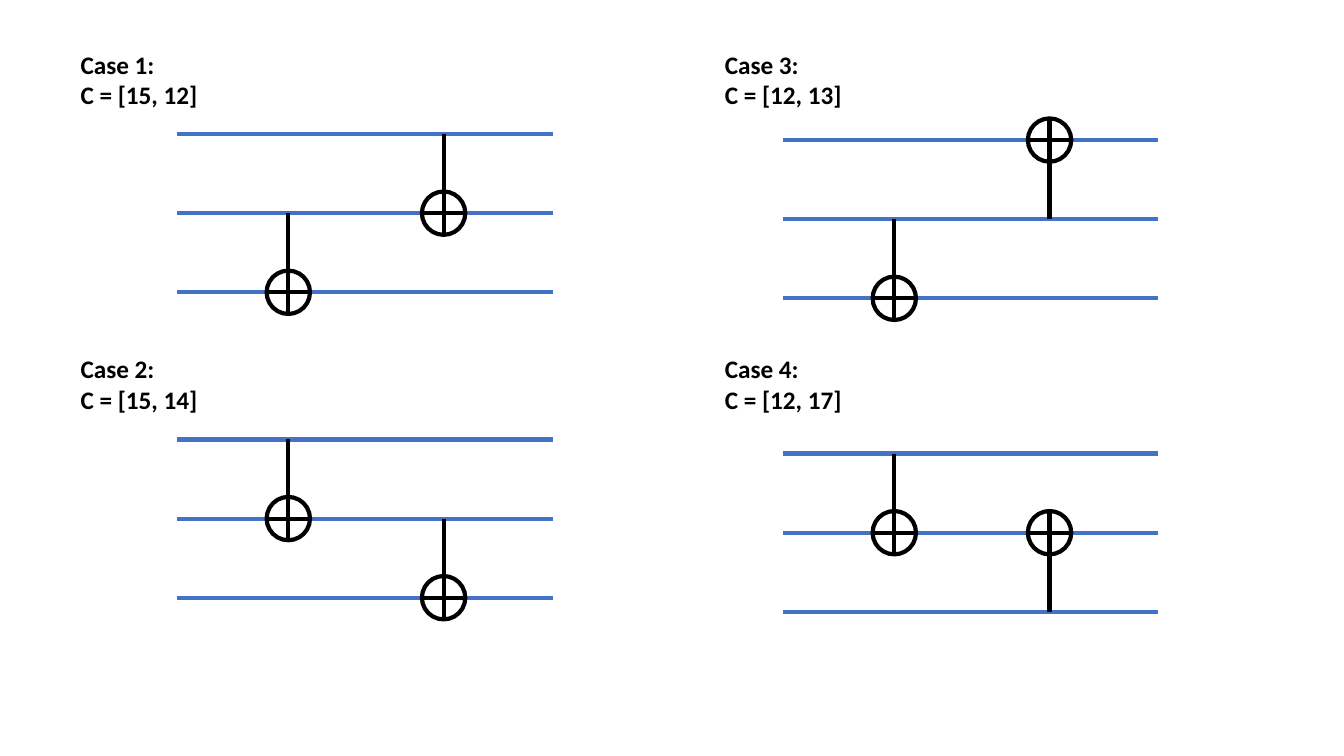
from lxml import etree
from pptx import Presentation
from pptx.dml.color import RGBColor
from pptx.enum.shapes import MSO_CONNECTOR, MSO_SHAPE
from pptx.enum.text import MSO_AUTO_SIZE
from pptx.oxml.ns import qn
from pptx.util import Inches, Pt

STRAIGHT = MSO_CONNECTOR.STRAIGHT
OVAL = MSO_SHAPE.OVAL
FIT = MSO_AUTO_SIZE.SHAPE_TO_FIT_TEXT
BLACK, BLUE, WHITE = "000000", "4472C4", "FFFFFF"
WIDTH, HEIGHT = 3.72, 1.57  # extent of the three wires
GAP = HEIGHT / 2
RADIUS = 0.215
SLOTS = (1.1, 2.64)  # gate centres, measured from the left end of the wires

# Title, code, label corner, wire corner, (control, target) wire of each gate
CASES = [
    ("Case 1:", "C = [15, 12]", (0.7, 0.44), (1.76, 1.33), [(1, 2), (0, 1)]),
    ("Case 3:", "C = [12, 13]", (7.09, 0.44), (7.77, 1.39), [(1, 2), (1, 0)]),
    ("Case 2:", "C = [15, 14]", (0.7, 3.46), (1.76, 4.36), [(0, 1), (1, 2)]),
    ("Case 4:", "C = [12, 17]", (7.09, 3.46), (7.77, 4.5), [(0, 1), (2, 1)]),
]


def paint(hue):
    """Turn a hex string into a colour."""
    return RGBColor.from_string(hue)


def draw_line(shapes, start, end, hue):
    """Draw a straight 3 pt line without a shadow."""
    line = shapes.add_connector(STRAIGHT, *map(Inches, start + end))
    line.line.color.rgb = paint(hue)
    line.line.width = Pt(3)
    etree.SubElement(line._element.spPr, qn("a:effectLst"))


def draw_gate(shapes, x, control, target):
    """Draw a grouped CNOT gate at x, from the control to the target height."""
    parts = shapes.add_group_shape().shapes
    ring = parts.add_shape(OVAL, Inches(x - RADIUS), Inches(target - RADIUS),
                           Inches(2 * RADIUS), Inches(2 * RADIUS))
    ring.shadow.inherit = False
    ring.fill.solid()
    ring.fill.fore_color.rgb = paint(WHITE)
    ring.line.color.rgb = paint(BLACK)
    ring.line.width = Pt(3)
    far = target + (RADIUS if target > control else -RADIUS)
    draw_line(parts, (x, control), (x, far), BLACK)
    draw_line(parts, (x - RADIUS, target), (x + RADIUS, target), BLACK)


def draw_wires(shapes, left, top, gates):
    """Draw three wires and their gates from the given corner."""
    rows = [top + i * GAP for i in range(3)]
    for y in rows:
        draw_line(shapes, (left, y), (left + WIDTH, y), BLUE)
    for slot, (control, target) in zip(SLOTS, gates):
        draw_gate(shapes, left + slot, rows[control], rows[target])


def add_label(shapes, left, top, title, code):
    """Write the case title above its code."""
    box = shapes.add_textbox(Inches(left), Inches(top), Inches(1.38), Inches(0.71))
    frame = box.text_frame
    frame.word_wrap = False
    frame.auto_size = FIT
    frame.text = f"{title}\n{code}"
    for line in frame.paragraphs:
        font = line.runs[0].font
        font.name, font.size, font.bold = "Calibri", Pt(18), True
        font.color.rgb = paint(BLACK)


def build():
    """Build the slide with its four circuit cases."""
    deck = Presentation()
    deck.slide_width, deck.slide_height = Inches(13.33), Inches(7.5)
    shapes = deck.slides.add_slide(deck.slide_layouts[6]).shapes
    for title, code, label, wires, gates in CASES:
        draw_wires(shapes, *wires, gates)
        add_label(shapes, *label, title, code)
    deck.save("out.pptx")


build()
